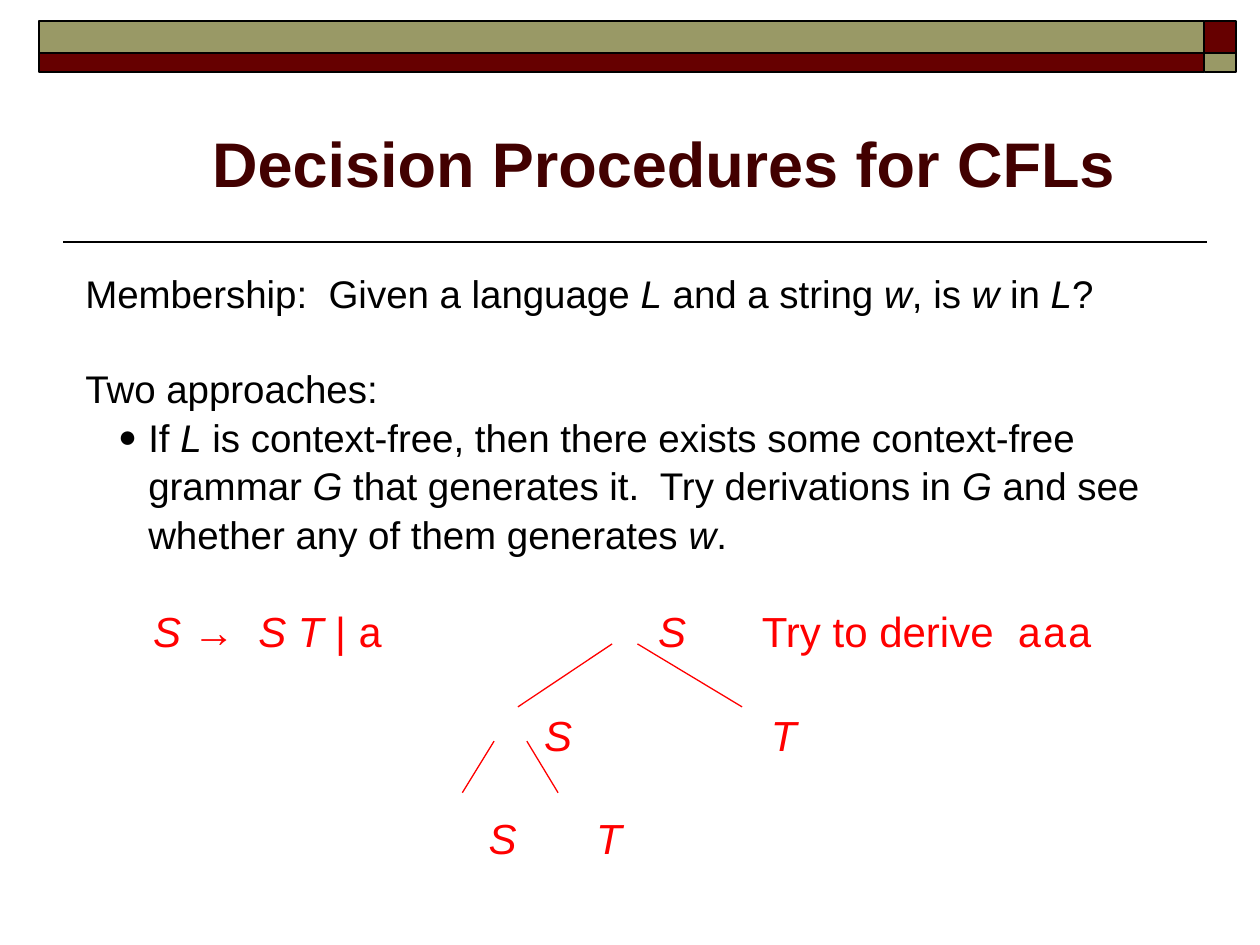
from collections import namedtuple

from lxml import etree
from pptx import Presentation
from pptx.dml.color import RGBColor
from pptx.enum import shapes, text
from pptx.oxml.ns import qn
from pptx.util import Cm, Pt

Box = namedtuple("Box", "left top width height")

BLACK = RGBColor(0x00, 0x00, 0x00)
RED = RGBColor(0xFF, 0x00, 0x00)
MAROON = RGBColor(0x66, 0x00, 0x00)
DARK_MAROON = RGBColor(0x42, 0x00, 0x00)
OLIVE = RGBColor(0x99, 0x99, 0x66)

LINE_SPACING = 1.05
PROSE = {"size": Pt(22), "color": BLACK}
DERIVATION = {"size": Pt(24), "color": RED}
PROSE_GAP = Pt(26.5)
DERIVATION_GAP = Pt(28.9)

# Tab stops are in cm from the text edge; * marks italic, ` marks monospace.
DERIVATION_ROWS = [
    ("\t*S *→  *S T* | `a`\t*S*\tTry to derive  `aaa`", (1.37, 11.55, 13.64), PROSE_GAP),
    ("\t*S*\t*T*", (9.25, 13.82), DERIVATION_GAP),
    ("\t*S*\t*T*", (8.13, 10.3), DERIVATION_GAP),
]

# Each branch: start x, start y, end x, end y in cm from the body box corner.
BRANCHES = [
    (10.87, 7.7, 8.97, 8.97),
    (11.38, 7.7, 13.49, 8.97),
    (8.49, 9.66, 7.85, 10.7),
    (9.15, 9.66, 9.78, 10.7),
]


def format_font(font, size, color, name="Arial", italic=False, bold=False):
    font.color.rgb = color
    values = {"size": size, "name": name, "italic": italic, "bold": bold}
    for attribute, value in values.items():
        setattr(font, attribute, value)


def add_runs(paragraph, marked, size, color):
    """Fill a paragraph, reading * as italic and ` as monospace marks."""
    for i, part in enumerate(marked.split("*")):
        for j, words in enumerate(part.split("`")):
            if words:
                run = paragraph.add_run()
                run.text = words
                format_font(run.font, size, color, italic=i % 2 == 1,
                            name="Courier New" if j % 2 else "Arial")


def add_bullet(paragraph, indent, hanging):
    properties = paragraph._p.get_or_add_pPr()
    properties.set("marL", str(indent))
    properties.set("indent", str(-hanging))
    for tag, key, value in (("a:buSzPct", "val", "82000"),
                            ("a:buFont", "typeface", "Arial"),
                            ("a:buChar", "char", "●")):
        etree.SubElement(properties, qn(tag)).set(key, value)


def add_tab_stops(paragraph, stops):
    tabs = etree.SubElement(paragraph._p.get_or_add_pPr(), qn("a:tabLst"))
    for stop in stops:
        etree.SubElement(tabs, qn("a:tab"), pos=str(Cm(stop)), algn="l")


def add_line(slide, x1, y1, x2, y2, color, width):
    line = slide.shapes.add_connector(shapes.MSO_CONNECTOR.STRAIGHT,
                                      Cm(x1), Cm(y1), Cm(x2), Cm(y2))
    line.line.color.rgb = color
    line.line.width = Pt(width)
    etree.SubElement(line._element.spPr, qn("a:effectLst"))


def add_header_bars(slide, box):
    corner, upper = 0.64, 0.64
    columns = [(0, box.width - corner), (box.width - corner, corner)]
    rows = [(0, upper), (upper, box.height - upper)]
    for r, (y, height) in enumerate(rows):
        for c, (x, width) in enumerate(columns):
            bar = slide.shapes.add_shape(
                shapes.MSO_SHAPE.RECTANGLE, Cm(box.left + x), Cm(box.top + y),
                Cm(width), Cm(height))
            bar.shadow.inherit = False
            bar.fill.solid()
            bar.fill.fore_color.rgb = OLIVE if r == c else MAROON
            bar.line.color.rgb = BLACK
            bar.line.width = Pt(1)


def set_title(slide, box):
    title = slide.shapes.title
    for side, length in box._asdict().items():
        setattr(title, side, Cm(length))
    frame = title.text_frame
    frame.text = "Decision Procedures for CFLs"
    frame.auto_size = text.MSO_AUTO_SIZE.NONE
    frame.vertical_anchor = text.MSO_ANCHOR.MIDDLE
    heading = frame.paragraphs[0]
    heading.alignment = text.PP_ALIGN.CENTER
    format_font(heading.runs[0].font, Pt(36), DARK_MAROON, bold=True)


def add_body(slide, box):
    frame = slide.shapes.add_textbox(*map(Cm, box)).text_frame
    frame.word_wrap = True

    question = frame.paragraphs[0]
    add_runs(question, "Membership:  Given a language *L* and a string *w*, "
                       "is *w* in *L*?", **PROSE)

    approaches = frame.add_paragraph()
    approaches.space_before = PROSE_GAP
    add_runs(approaches, "Two approaches:", **PROSE)

    first_approach = frame.add_paragraph()
    add_bullet(first_approach, Cm(1.27), Cm(0.61))
    add_runs(first_approach,
             "If *L* is context-free, then there exists some context-free "
             "grammar *G* that generates it.  Try derivations in *G* and see "
             "whether any of them generates *w*.", **PROSE)

    for marked, stops, gap in DERIVATION_ROWS:
        row = frame.add_paragraph()
        add_tab_stops(row, stops)
        row.space_before = gap
        add_runs(row, marked, **DERIVATION)

    for paragraph in frame.paragraphs:
        paragraph.line_spacing = LINE_SPACING


def add_tree_branches(slide, box):
    for x1, y1, x2, y2 in BRANCHES:
        add_line(slide, box.left + x1, box.top + y1,
                 box.left + x2, box.top + y2, RED, 0.75)


def main():
    deck = Presentation()
    deck.slide_width, deck.slide_height = Cm(25.4), Cm(19.05)
    slide = deck.slides.add_slide(deck.slide_layouts[5])
    body = Box(1.47, 5.28, 22.43, 12.9)

    add_line(slide, 24.33, 4.88, 1.27, 4.88, BLACK, 1)
    add_header_bars(slide, Box(0.79, 0.43, 24.13, 1.02))
    set_title(slide, Box(1.63, 2.11, 23.5, 2.34))
    add_body(slide, body)
    add_tree_branches(slide, body)
    deck.save("out.pptx")


if __name__ == "__main__":
    main()
